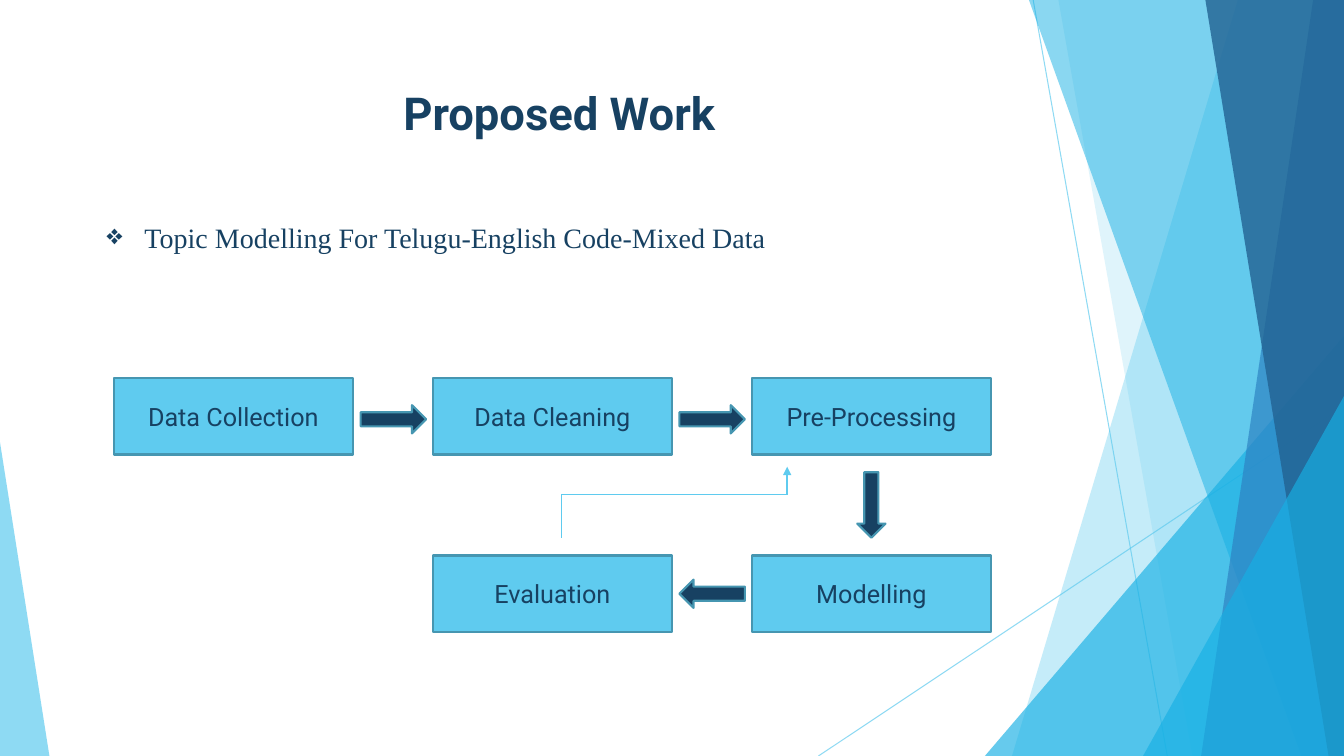
from dataclasses import dataclass
from itertools import pairwise

from pptx import Presentation
from pptx.dml.color import RGBColor
from pptx.enum.shapes import MSO_CONNECTOR, MSO_SHAPE as Preset
from pptx.enum.text import MSO_ANCHOR as Anchor, PP_ALIGN as Align
from pptx.oxml.ns import qn
from pptx.util import Pt


@dataclass(frozen=True)
class Theme:
    ink: str = "174162"
    sky: str = "5FCBEF"
    cyan: str = "17B0E4"
    blue: str = "2E83C3"
    navy: str = "226292"
    border: str = "4696B1"
    font: str = "Roboto"
    serif: str = "Times New Roman"
    title_size: float = 32.4
    topic_size: float = 20
    step_size: float = 18


theme = Theme()
WIDTH, HEIGHT = 960, 540

presentation = Presentation()
presentation.slide_width, presentation.slide_height = Pt(WIDTH), Pt(HEIGHT)
slide = presentation.slides.add_slide(presentation.slide_layouts[6])
shapes = slide.shapes


def paint(shape, fill, opacity=100, border=None):
    """Fill a shape, with a border if given, and drop its shadow."""
    shape.shadow.inherit = False
    shape.fill.solid()
    shape.fill.fore_color.rgb = RGBColor.from_string(fill)
    if opacity < 100:
        color = shape._element.spPr.find(qn("a:solidFill"))[0]
        color.makeelement(qn("a:alpha"))
        alpha = color.makeelement(qn("a:alpha"), {"val": str(opacity * 1000)})
        color.append(alpha)
    if border:
        shape.line.color.rgb = RGBColor.from_string(border)
        shape.line.width = Pt(1.5)
    else:
        shape.line.fill.background()


def write(shape, text, size, font, align=Align.CENTER, bold=False):
    shape.text_frame.text = text
    shape.text_frame.word_wrap = True
    paragraph = shape.text_frame.paragraphs[0]
    paragraph.alignment = align
    run_font = paragraph.runs[0].font
    run_font.name, run_font.size, run_font.bold = font, Pt(size), bold
    run_font.color.rgb = RGBColor.from_string(theme.ink)
    return paragraph


# Lines: start, end, width, opacity, arrowhead
feedback_points = [(401, 384), (401, 353.4), (562.3, 353.4), (562.3, 333.4)]
thin_lines = [((738, 0), (833.8, HEIGHT), 0.75, 70, False),
              ((WIDTH, 290), (584.6, HEIGHT), 0.75, 70, False)]
feedback_lines = [(start, end, 1, 100, end == feedback_points[-1])
                  for start, end in pairwise(feedback_points)]
for start, end, width, opacity, arrowhead in thin_lines + feedback_lines:
    connector = shapes.add_connector(MSO_CONNECTOR.STRAIGHT, *map(Pt, start + end))
    connector.line.color.rgb = RGBColor.from_string(theme.sky)
    connector.line.width = Pt(width)
    properties = connector._element.spPr
    line = properties.find(qn("a:ln"))
    color = line.find(qn("a:solidFill"))[0]
    color.append(color.makeelement(qn("a:alpha"), {"val": str(opacity * 1000)}))
    if arrowhead:
        line.append(line.makeelement(qn("a:tailEnd"), {"type": "triangle"}))
    properties.append(properties.makeelement(qn("a:effectLst")))

# Facets, back to front. A band is (top x, bottom x) and reaches the right edge;
# a triangle is (left, width, height, apex) and stands on the bottom edge.
facets = [
    ((884.2, 722.9), theme.sky, 36),
    ((756, 851.8), theme.sky, 20),
    ((703.5, 256.5, 300.2, 1), theme.cyan, 66),
    ((735, 929.5), theme.cyan, 50),
    ((938, 858), theme.blue, 70),
    ((861, 949), theme.navy, 80),
    ((816.5, 143.5, 257, 1), theme.cyan, 66),
    ((0, 35.3, 224, 0), theme.sky, 70),
]
for outline, color, opacity in facets:
    if len(outline) == 2:
        top_x, bottom_x = outline
        builder = shapes.build_freeform(Pt(top_x), 0)
        corners = [(WIDTH, 0), (WIDTH, HEIGHT), (bottom_x, HEIGHT)]
        builder.add_line_segments([(Pt(x), Pt(y)) for x, y in corners])
        facet = builder.convert_to_shape()
    else:
        left, width, height, apex = outline
        facet = shapes.add_shape(Preset.ISOSCELES_TRIANGLE, Pt(left), Pt(HEIGHT - height),
                                 Pt(width), Pt(height))
        facet.adjustments[0] = apex
    paint(facet, color, opacity)

title = shapes.add_textbox(Pt(252), Pt(18), Pt(295), Pt(82))
write(title, "Proposed Work", theme.title_size, theme.font, bold=True)
title.text_frame.vertical_anchor = Anchor.BOTTOM
title.text_frame.margin_bottom = 0

topic = shapes.add_textbox(Pt(69.1), Pt(154), Pt(590), Pt(31.5))
paragraph = write(topic, "Topic Modelling For Telugu-English Code-Mixed Data",
                  theme.topic_size, theme.serif, Align.LEFT)
paragraph_format = paragraph._p.get_or_add_pPr()
paragraph_format.set("marL", str(Pt(27)))
paragraph_format.set("indent", str(-Pt(27)))
paragraph_format.append(paragraph_format.makeelement(qn("a:buChar"), {"char": "❖"}))

# Steps: text, column, row
steps = [
    ("Data Collection", 0, 0),
    ("Data Cleaning", 1, 0),
    ("Pre-Processing", 2, 0),
    ("Modelling", 2, 1),
    ("Evaluation", 1, 1),
]
for text, column, row in steps:
    step = shapes.add_shape(Preset.RECTANGLE, Pt(81.4 + 227.9 * column),
                            Pt(270 + 126.8 * row), Pt(170.6), Pt(54.7))
    paint(step, theme.sky, border=theme.border)
    write(step, text, theme.step_size, theme.font)
    step.text_frame.vertical_anchor = Anchor.MIDDLE

LONG, SHORT = 46.8, 20.2
arrows = [
    (Preset.RIGHT_ARROW, 257.6, 289.4, LONG, SHORT),
    (Preset.RIGHT_ARROW, 485.3, 289.4, LONG, SHORT),
    (Preset.DOWN_ARROW, 612.3, 337.3, SHORT, LONG),
    (Preset.LEFT_ARROW, 485.3, 414, LONG, SHORT),
]
for preset, *box in arrows:
    paint(shapes.add_shape(preset, *map(Pt, box)), theme.ink, border=theme.border)

presentation.save("out.pptx")
